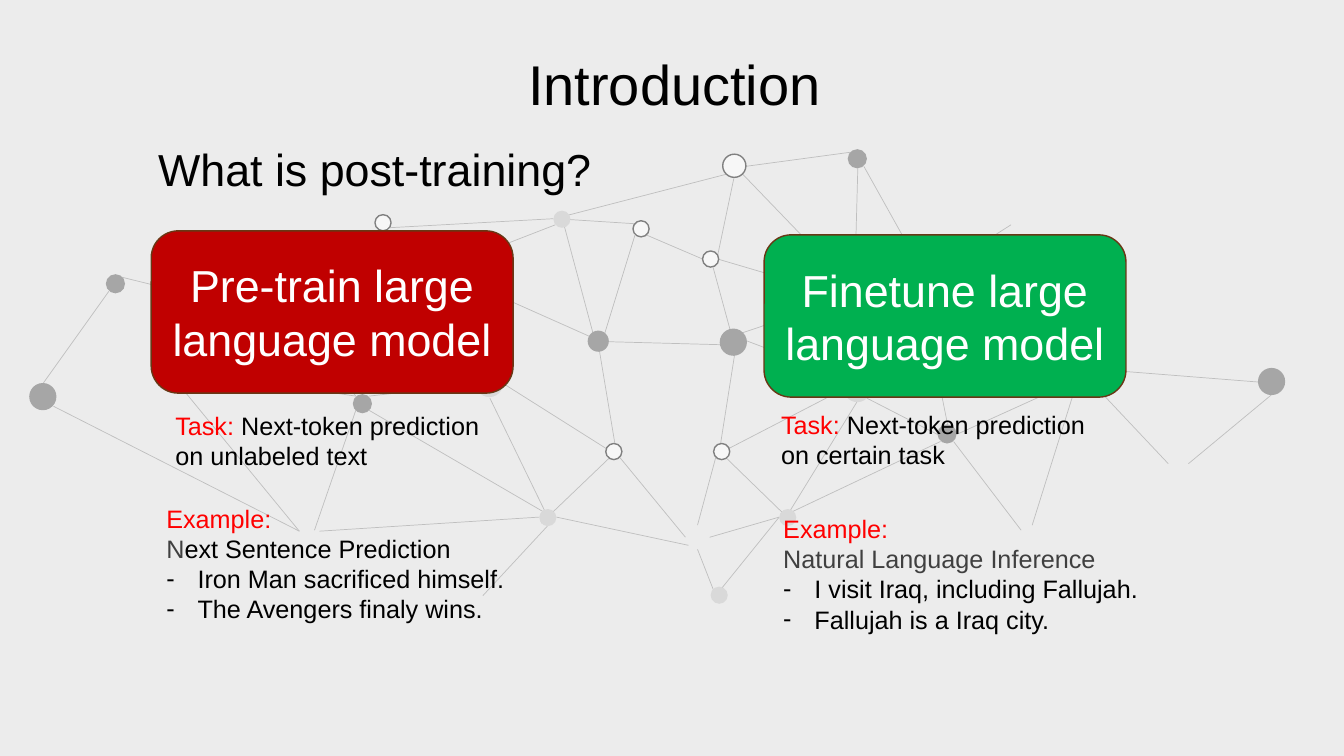
from dataclasses import dataclass

from lxml import etree
from pptx import Presentation, util as u
from pptx.dml.color import RGBColor
from pptx.enum import shapes, text
from pptx.oxml.ns import qn


@dataclass(frozen=True)
class Theme:
    font: str = "Arial"
    background: str = "ECECEC"
    ink: str = "000000"
    soft_ink: str = "404040"
    accent: str = "FF0000"
    white: str = "FFFFFF"
    pretrain: str = "C00000"
    finetune: str = "00B050"
    box_border: str = "683715"
    link: str = "BFBFBF"
    dark_node: str = "A6A6A6"
    pale_node: str = "D9D9D9"
    open_node: str = "F7F7F7"
    open_border: str = "808080"
    title_size: int = 40
    heading_size: int = 32
    body_size: int = 18


THEME = Theme()
CELL = u.Inches(0.1)
COLUMNS, ROWS = 133.33, 75
LIST_INDENT = 3.1

LINKS = [
    (12.1, 27.5, 30.2, 32), (84.1, 29.5, 73.7, 33), (101.3, 23.3, 107.1, 36),
    (91.2, 28.1, 100.3, 22.3), (91.5, 29.6, 94, 42.1), (72.1, 44.6, 83.7, 38.6),
    (91.5, 26.9, 85.7, 16.5), (84.1, 29.5, 71.2, 25.7), (74, 16.5, 84.4, 15.1),
    (84.8, 27.8, 85.1, 16.7), (72.8, 17.7, 71.1, 25.8), (70.6, 26, 72.7, 33.7),
    (73.5, 33.6, 84.1, 37.6), (73, 34.4, 71.3, 45.2), (73.7, 17.3, 84.1, 28.1),
    (108.4, 36.6, 124.8, 37.9), (102.4, 52.1, 107.1, 37.1), (115.9, 46, 107.7, 37.3),
    (94.9, 43.1, 107.7, 37.3), (93, 43.1, 86, 39.5), (94.6, 43.8, 101.3, 52.6),
    (78.7, 51.9, 71.7, 45.1), (93.3, 43.8, 78.1, 51), (85, 39.9, 78.3, 50.8),
    (77.3, 51.3, 70.4, 53.3), (71, 45.4, 69.2, 52.1), (71.5, 34.2, 60.3, 33.9),
    (77.3, 51.3, 71, 59.1), (71, 59.1, 69.2, 54.5), (117.9, 46, 126.1, 39.2),
    (60.3, 44.6, 50, 38.1), (31.2, 31.6, 38, 22.9), (54.9, 21.7, 38.5, 22.6),
    (55, 21.7, 72, 17.3), (55.2, 21.7, 63, 22.2), (63, 23.3, 59.8, 33.7),
    (59, 33.6, 45.3, 27.5), (59.4, 34.4, 61.2, 45.2), (56, 22.5, 59, 33.7),
    (55.1, 22.3, 45.3, 26.1), (29.7, 52.7, 16.4, 36.5), (35.3, 39.3, 16.4, 36.5),
    (36.6, 39.3, 47.2, 38.1), (35.3, 40.7, 31.2, 52.6), (53.7, 51.9, 60.8, 45.1),
    (36.6, 40.7, 54.3, 51), (48.6, 39.5, 54.1, 50.8), (47.9, 59.1, 54.3, 52.2),
    (31.2, 34.3, 35.3, 39.3), (31.7, 52.7, 53.5, 51.3), (55.2, 51.3, 68.3, 54.1),
    (61.5, 45.4, 68, 53.3), (64.1, 23.3, 69.7, 25.7), (4.3, 38, 10.8, 28.9),
    (5.3, 40.3, 29.7, 52.7),
]

NODES = [
    (THEME.dark_node, None, 1.9, [(84.1, 14.8), (93, 42.1), (35, 39.1), (10.5, 27.2)]),
    (THEME.dark_node, None, 2.1, [(58.3, 32.8)]),
    (THEME.dark_node, None, 2.7, [(124.8, 36.5), (71.4, 32.6), (2.9, 38)]),
    (THEME.pale_node, None, 1.7, [(77.3, 50.5), (54.9, 20.9), (53.5, 50.5), (70.5, 58.2)]),
    (THEME.pale_node, None, 2.7, [(83.7, 37.2), (47.2, 36.7)]),
    (THEME.open_node, THEME.open_border, 1.6,
     [(69.7, 24.9), (70.8, 44), (37.2, 21.3), (62.8, 21.9), (60.1, 44)]),
    (THEME.open_node, THEME.open_border, 2.3, [(71.7, 15.3)]),
]

STAGES = [
    dict(label="Pre-train large language model", color=THEME.pretrain,
         box=(15, 22.9), task=(16.4, 40.2), example=(15.5, 49.4),
         goal="Next-token prediction on unlabeled text",
         name=[("N", THEME.soft_ink), ("ext Sentence Prediction", THEME.ink)],
         items=["Iron Man sacrificed himself.", "The Avengers finaly wins."]),
    dict(label="Finetune large language model", color=THEME.finetune,
         box=(75.8, 23.3), task=(76.5, 40.1), example=(76.7, 50.4),
         goal="Next-token prediction on certain task",
         name=[("Natural Language Inference", THEME.soft_ink)],
         items=["I visit Iraq, including Fallujah.", "Fallujah is a Iraq city."]),
]


def cells(*counts):
    return [round(count * CELL) for count in counts]


class SlideBuilder:
    def __init__(self, slide, theme):
        self.slide = slide
        self.theme = theme
        fill = slide.background.fill
        fill.solid()
        fill.fore_color.rgb = RGBColor.from_string(theme.background)

    def link(self, *ends):
        line = self.slide.shapes.add_connector(shapes.MSO_CONNECTOR.STRAIGHT, *cells(*ends))
        line.line.color.rgb = RGBColor.from_string(self.theme.link)
        line.line.width = u.Pt(0.5)
        etree.SubElement(line.element.spPr, qn("a:effectLst"))

    def shape(self, kind, area, fill, border=None):
        shape = self.slide.shapes.add_shape(kind, *cells(*area))
        shape.shadow.inherit = False
        shape.fill.solid()
        shape.fill.fore_color.rgb = RGBColor.from_string(fill)
        if border:
            shape.line.color.rgb = RGBColor.from_string(border)
            shape.line.width = u.Pt(1)
        else:
            shape.line.fill.background()
        return shape

    def node(self, left, top, size, fill, border):
        self.shape(shapes.MSO_SHAPE.OVAL, (left, top, size, size), fill, border)

    def stage_box(self, area, label, color):
        box = self.shape(shapes.MSO_SHAPE.ROUNDED_RECTANGLE, area, color, self.theme.box_border)
        self.set_text(box, [[(label, self.theme.white)]], self.theme.heading_size,
                      text.PP_ALIGN.CENTER, text.MSO_ANCHOR.MIDDLE)

    def text_box(self, area, paragraphs, size):
        self.set_text(self.slide.shapes.add_textbox(*cells(*area)), paragraphs, size)

    def placeholder(self, index, area, paragraphs, size, align=text.PP_ALIGN.LEFT):
        shape = self.slide.placeholders[index]
        shape.left, shape.top, shape.width, shape.height = cells(*area)
        shape.element.getparent().append(shape.element)
        self.set_text(shape, paragraphs, size, align)
        return shape.text_frame.paragraphs

    def set_text(self, shape, paragraphs, size, align=text.PP_ALIGN.LEFT,
                 anchor=text.MSO_ANCHOR.TOP):
        frame = shape.text_frame
        frame.word_wrap = True
        frame.auto_size = text.MSO_AUTO_SIZE.NONE
        frame.vertical_anchor = anchor
        for number, pieces in enumerate(paragraphs):
            paragraph = frame.add_paragraph() if number else frame.paragraphs[0]
            paragraph.alignment = align
            paragraph.space_before = u.Pt(0)
            for words, color in pieces:
                run = paragraph.add_run()
                run.text = words
                run.font.name = self.theme.font
                run.font.size = u.Pt(size)
                run.font.color.rgb = RGBColor.from_string(color)

    def example_list(self, index, area, heading, items):
        theme = self.theme
        paragraphs = heading + [[(item, theme.ink)] for item in items]
        filled = self.placeholder(index, area, paragraphs, theme.body_size)
        for number, paragraph in enumerate(filled):
            self.bullet(paragraph, "-" if number >= len(heading) else None)

    def bullet(self, paragraph, mark):
        properties = paragraph._p.get_or_add_pPr()
        indent = cells(LIST_INDENT)[0] if mark else 0
        properties.set("marL", str(indent))
        properties.set("indent", str(-indent))
        if mark:
            etree.SubElement(properties, qn("a:buFont"), typeface=self.theme.font)
            etree.SubElement(properties, qn("a:buChar"), char=mark)
        else:
            etree.SubElement(properties, qn("a:buNone"))


def main():
    presentation = Presentation()
    presentation.slide_width, presentation.slide_height = cells(COLUMNS, ROWS)
    two_content = presentation.slide_layouts[3]
    builder = SlideBuilder(presentation.slides.add_slide(two_content), THEME)

    for ends in LINKS:
        builder.link(*ends)
    for fill, border, size, corners in NODES:
        for left, top in corners:
            builder.node(left, top, size, fill, border)

    builder.placeholder(0, (45.6, 4.4, 42.6, 7.7), [[("Introduction", THEME.ink)]],
                        THEME.title_size, text.PP_ALIGN.CENTER)
    builder.text_box((14.7, 13.6, 102.5, 6.4), [[("What is post-training?", THEME.ink)]],
                     THEME.heading_size)

    for index, stage in enumerate(STAGES, start=1):
        builder.stage_box((*stage["box"], 35.9, 16.1), stage["label"], stage["color"])
        builder.text_box((*stage["task"], 33.5, 7.1),
                         [[("Task: ", THEME.accent), (stage["goal"], THEME.ink)]],
                         THEME.body_size)
        builder.example_list(index, (*stage["example"], 41.1, 13.1),
                             [[("Example:", THEME.accent)], stage["name"]], stage["items"])

    presentation.save("out.pptx")


if __name__ == "__main__":
    main()
